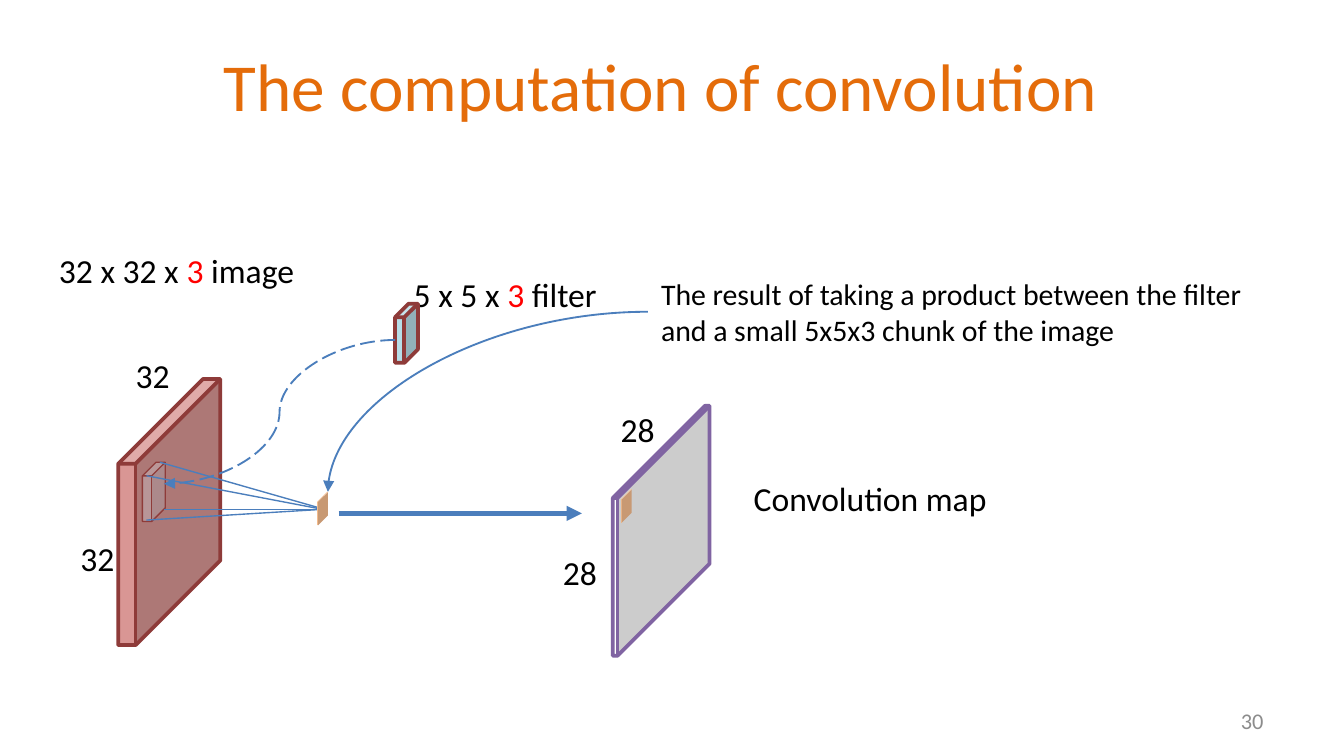
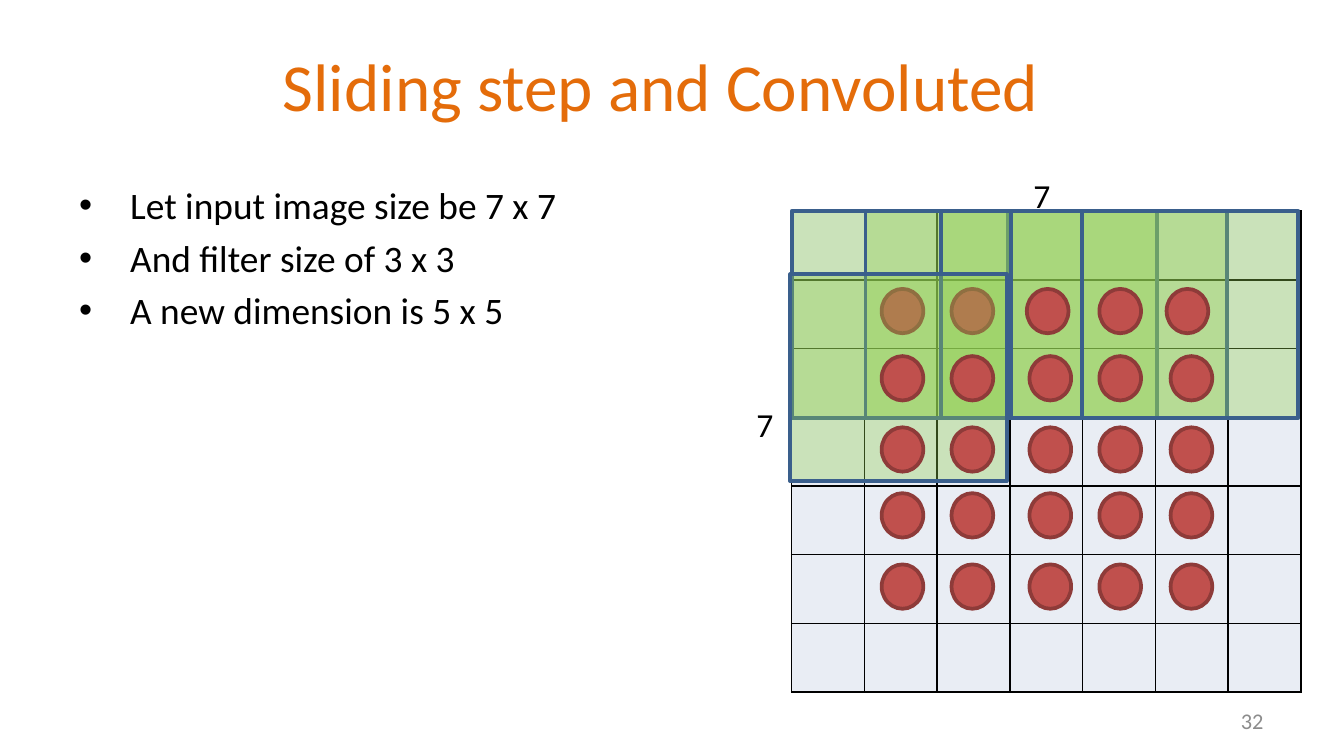
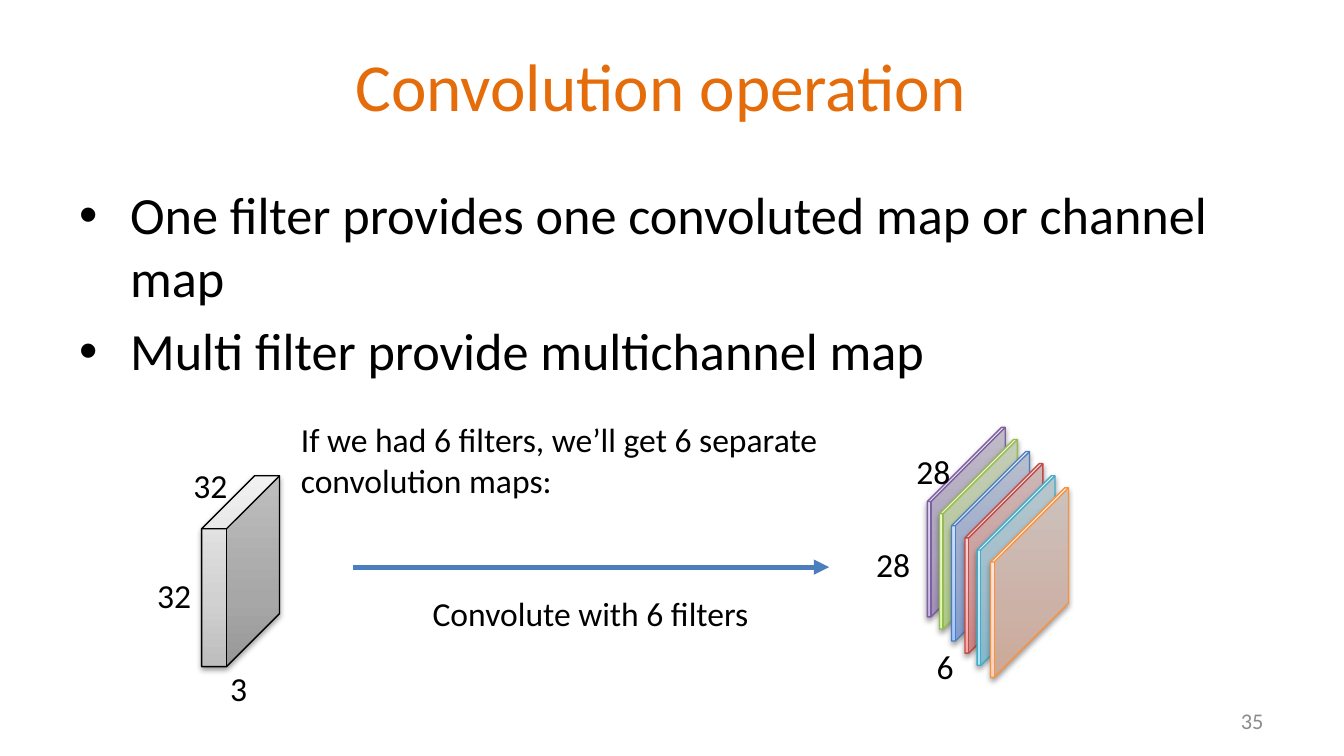
from dataclasses import dataclass
from itertools import cycle
from typing import Any

from lxml.etree import SubElement
from pptx import Presentation
from pptx.dml.color import RGBColor
from pptx.enum.dml import MSO_LINE_DASH_STYLE as Dash
from pptx.enum.shapes import MSO_CONNECTOR as Link, MSO_SHAPE as Preset
from pptx.enum.text import MSO_ANCHOR as Anchor, PP_ALIGN as Align
from pptx.oxml.ns import qn
from pptx.util import Emu, Pt

EMU_PER_PX = 9144
FONT = "Calibri"
BLACK, RED, GREY, ORANGE = "000000", "FF0000", "8C8C8C", "E46C0A"
BLUE, MAROON, PEACH = "4B7EBC", "8E3B39", "FAC090"


@dataclass(frozen=True)
class Label:
    x: int
    y: int
    width: int
    height: int
    texts: tuple[str, ...]
    size: int = 18


@dataclass(frozen=True)
class Solid:
    x: int
    y: int
    width: int
    height: int
    fill: str | tuple[str, ...]
    line: str = ""
    weight: float = 2
    depth: float = 0
    opacity: int = 100
    preset: Preset = Preset.CUBE
    shadow: bool = False


@dataclass(frozen=True)
class Wire:
    start: tuple[int, int]
    end: tuple[int, int]
    weight: float = 0.75
    arrow: bool = False
    curve: str = ""
    dash: Dash | None = None


def px(length: int) -> Emu:
    return Emu(length * EMU_PER_PX)


def rgb(value: str) -> RGBColor:
    return RGBColor.from_string(value)


def assign(target: Any, values: dict[str, Any]) -> None:
    for name, value in values.items():
        setattr(target, name, value)


def place(shape, x: int, y: int, width: int, height: int) -> None:
    assign(shape, {"left": px(x), "top": px(y), "width": px(width), "height": px(height)})


def add_span(para, text: str, size: int, color: str) -> None:
    span = para.add_run()
    span.text = text
    assign(span.font, {"name": FONT, "size": Pt(size)})
    span.font.color.rgb = rgb(color)


def add_box(page, x: int, y: int, width: int, height: int):
    box = page.shapes.add_textbox(px(x), px(y), px(width), px(height))
    box.text_frame.word_wrap = True
    return box


def add_label(page, label: Label) -> None:
    box = add_box(page, label.x, label.y, label.width, label.height)
    for text, color in zip(label.texts, cycle((BLACK, RED))):
        add_span(box.text_frame.paragraphs[0], text, label.size, color)


def add_bullets(page, width: int, size: int, lines: list[str]) -> None:
    frame = add_box(page, 49, 131, width, 384).text_frame
    for index, line in enumerate(lines):
        para = frame.add_paragraph() if index else frame.paragraphs[0]
        props = para._p.get_or_add_pPr()
        props.set("marL", str(px(38)))
        props.set("indent", str(px(-38)))
        SubElement(props, qn("a:buFont"), typeface="Arial")
        SubElement(props, qn("a:buChar"), char="•")
        if index:
            para.space_before = Pt(size * 0.2)
        add_span(para, line, size, BLACK)


def add_page(deck, title: str, number: int):
    page = deck.slides.add_slide(deck.slide_layouts[5])
    heading = page.shapes.title
    place(heading, 149, 14, 685, 98)
    footer = add_box(page, 717, 521, 233, 30)
    for box, text, size, color, align in (
        (heading, title, 36, ORANGE, Align.CENTER),
        (footer, str(number), 12, GREY, Align.RIGHT),
    ):
        box.text_frame.vertical_anchor = Anchor.MIDDLE
        para = box.text_frame.paragraphs[0]
        para.alignment = align
        add_span(para, text, size, color)
    return page


def paint(shape, fill: str | tuple[str, ...], opacity: int) -> None:
    if isinstance(fill, str):
        shape.fill.solid()
        shape.fill.fore_color.rgb = rgb(fill)
        if opacity < 100:
            color = shape._element.spPr.find(qn("a:solidFill"))[0]
            SubElement(color, qn("a:alpha"), val=str(opacity * 1000))
        return
    shape.fill.gradient()
    shape.fill.gradient_angle = 90
    stops = shape._element.spPr.find(".//" + qn("a:gsLst"))
    for stop in list(stops):
        stops.remove(stop)
    for position, value in zip((0, 35, 100), fill):
        stop = SubElement(stops, qn("a:gs"), pos=str(position * 1000))
        SubElement(stop, qn("a:srgbClr"), val=value)


def add_shadow(shape) -> None:
    effects = shape._element.spPr.find(qn("a:effectLst"))
    outer = SubElement(
        effects, qn("a:outerShdw"), blurRad=str(Pt(3.1)), dist=str(Pt(1.6)),
        dir="5400000", rotWithShape="0",
    )
    color = SubElement(outer, qn("a:srgbClr"), val=BLACK)
    SubElement(color, qn("a:alpha"), val="38000")


def add_solid(page, solid: Solid) -> None:
    shape = page.shapes.add_shape(
        solid.preset, px(solid.x), px(solid.y), px(solid.width), px(solid.height)
    )
    shape.shadow.inherit = False
    if solid.preset == Preset.CUBE:
        shape.adjustments[0] = solid.depth
    paint(shape, solid.fill, solid.opacity)
    if solid.line:
        shape.line.color.rgb = rgb(solid.line)
        shape.line.width = Pt(solid.weight)
    else:
        shape.line.fill.background()
    if solid.shadow:
        add_shadow(shape)


def add_wire(page, wire: Wire) -> None:
    kind = Link.CURVE if wire.curve else Link.STRAIGHT
    link = page.shapes.add_connector(kind, *map(px, wire.start + wire.end))
    props = link._element.spPr
    if wire.curve:
        props.find(qn("a:prstGeom")).set("prst", wire.curve)
    link.line.color.rgb = rgb(BLUE)
    assign(link.line, {"width": Pt(wire.weight), "dash_style": wire.dash})
    if wire.arrow:
        SubElement(link.get_or_add_ln(), qn("a:tailEnd"), type="triangle")
    SubElement(props, qn("a:effectLst"))


def add_pixel_grid(page, count: int) -> None:
    frame = page.shapes.add_table(count, count, px(589), px(157), px(379), px(358))
    grid = frame.table
    assign(grid, {"first_row": False, "horz_banding": False})
    for cell in grid.iter_cells():
        props = cell._tc.get_or_add_tcPr()
        for side in ("lnL", "lnR", "lnT", "lnB"):
            border = SubElement(props, qn(f"a:{side}"), w=str(Pt(1)))
            border_fill = SubElement(border, qn("a:solidFill"))
            SubElement(border_fill, qn("a:srgbClr"), val=BLACK)
        cell.fill.solid()
        cell.fill.fore_color.rgb = rgb("E9EDF4")


def build_computation(deck) -> None:
    page = add_page(deck, "The computation of convolution", 30)
    result = "The result of taking a product between the filter and a small 5x5x3 chunk of the image"
    for label in (
        Label(298, 199, 235, 57, ("5 x 5 x ", "3", " filter")),
        Label(482, 200, 475, 64, (result,), 16),
        Label(91, 259, 55, 39, ("32",)),
        Label(50, 395, 55, 39, ("32",)),
        Label(34, 181, 202, 39, ("32 x 32 x ", "3", " image")),
        Label(452, 299, 81, 57, ("28",)),
        Label(409, 406, 81, 57, ("28",)),
        Label(551, 351, 196, 40, ("Convolution map",)),
    ):
        add_label(page, label)
    for solid in (
        Solid(456, 302, 72, 186, "FFFFFF", "8064A2", depth=0.952),
        Solid(88, 282, 76, 198, "D99694", MAROON, depth=0.83),
        Solid(294, 226, 17, 44, "B7DEE8", MAROON, depth=0.594),
        Solid(106, 344, 17, 44, "D7E7F5", MAROON, 0.75, 0.594, 27),
    ):
        add_solid(page, solid)
    for wire in (
        Wire((482, 232), (244, 366), 1, True, "curvedConnector2"),
        Wire((252, 382), (433, 382), 2.75, True),
        Wire((294, 253), (122, 360), 1, True, "curvedConnector3", Dash.LONG_DASH),
        Wire((109, 354), (240, 379)),
        Wire((119, 344), (238, 378)),
        Wire((109, 387), (240, 379)),
        Wire((122, 379), (240, 379)),
    ):
        add_wire(page, wire)
    for x, y in ((236, 366), (462, 364)):
        add_solid(page, Solid(x, y, 8, 25, PEACH, depth=0.93))


def add_window(page, x: int, y: int) -> None:
    add_solid(page, Solid(x, y, 161, 154, "92D050", "3A5F8C", opacity=35))


def add_dot_row(page, y: int, columns: tuple[int, ...]) -> None:
    for x in columns:
        add_solid(page, Solid(x, y, 31, 33, "C0504D", MAROON, preset=Preset.OVAL))


def build_sliding(deck) -> None:
    page = add_page(deck, "Sliding step and Convoluted", 32)
    add_bullets(page, 518, 20, [
        "Let input image size be 7 x 7",
        "And filter size of 3 x 3",
        "A new dimension is 5 x 5",
    ])
    add_pixel_grid(page, 7)
    for x in (589, 644, 700, 752, 805):
        add_window(page, x, 157)
    for x, y in ((553, 296), (759, 125)):
        add_label(page, Label(x, y, 33, 40, ("7",)))
    add_dot_row(page, 215, (656, 708, 764, 818, 868))
    add_window(page, 588, 204)
    for y in (265, 318, 367, 420):
        add_dot_row(page, y, (656, 708, 766, 818, 871))


def build_operation(deck) -> None:
    page = add_page(deck, "Convolution operation", 35)
    add_bullets(page, 902, 28, [
        "One filter provides one convoluted map or channel map",
        "Multi filter provide multichannel map",
    ])
    add_solid(page, Solid(
        150, 354, 58, 142, ("BDBDBD", "D1D1D1", "EEEEEE"), BLACK, 0.75, 0.679, shadow=True
    ))
    maps = (
        (("C9B5E8", "D8CBEE", "F0EAF9"), "7D60A0"),
        (("DAFDA7", "E4FCC2", "F5FFE7"), "98B955"),
        (("A4C4FF", "BFD4FF", "E6EEFF"), BLUE),
        (("FFA6A5", "FFC0BF", "FFE7E7"), "BF4C48"),
        (("A7E6FF", "C1EDFF", "E7F8FF"), "46AAC5"),
        (("FFD2BD", "FFDED0", "FFF2ED"), "F69240"),
    )
    for index, (fill, line) in enumerate(maps):
        add_solid(page, Solid(
            690 + index * 47 // 5, 318 + index * 9, 58, 141, fill, line, 0.75, 0.952, shadow=True
        ))
    for label in (
        Label(214, 307, 419, 249, ("If we had 6 filters, we’ll get 6 separate convolution maps:",)),
        Label(134, 341, 51, 40, ("32",)),
        Label(107, 423, 61, 40, ("32",)),
        Label(162, 492, 19, 29, ("3",)),
        Label(312, 436, 258, 40, ("Convolute with 6 filters",)),
        Label(672, 331, 72, 40, ("28",)),
        Label(687, 476, 45, 30, ("6",)),
        Label(642, 400, 58, 40, ("28",)),
    ):
        add_label(page, label)
    add_wire(page, Wire((263, 422), (617, 422), 2.75, True))


def main() -> None:
    deck = Presentation()
    width = px(1000)
    assign(deck, {"slide_width": width, "slide_height": Emu(width * 9 // 16)})
    build_computation(deck)
    build_sliding(deck)
    build_operation(deck)
    deck.save("out.pptx")


if __name__ == "__main__":
    main()
